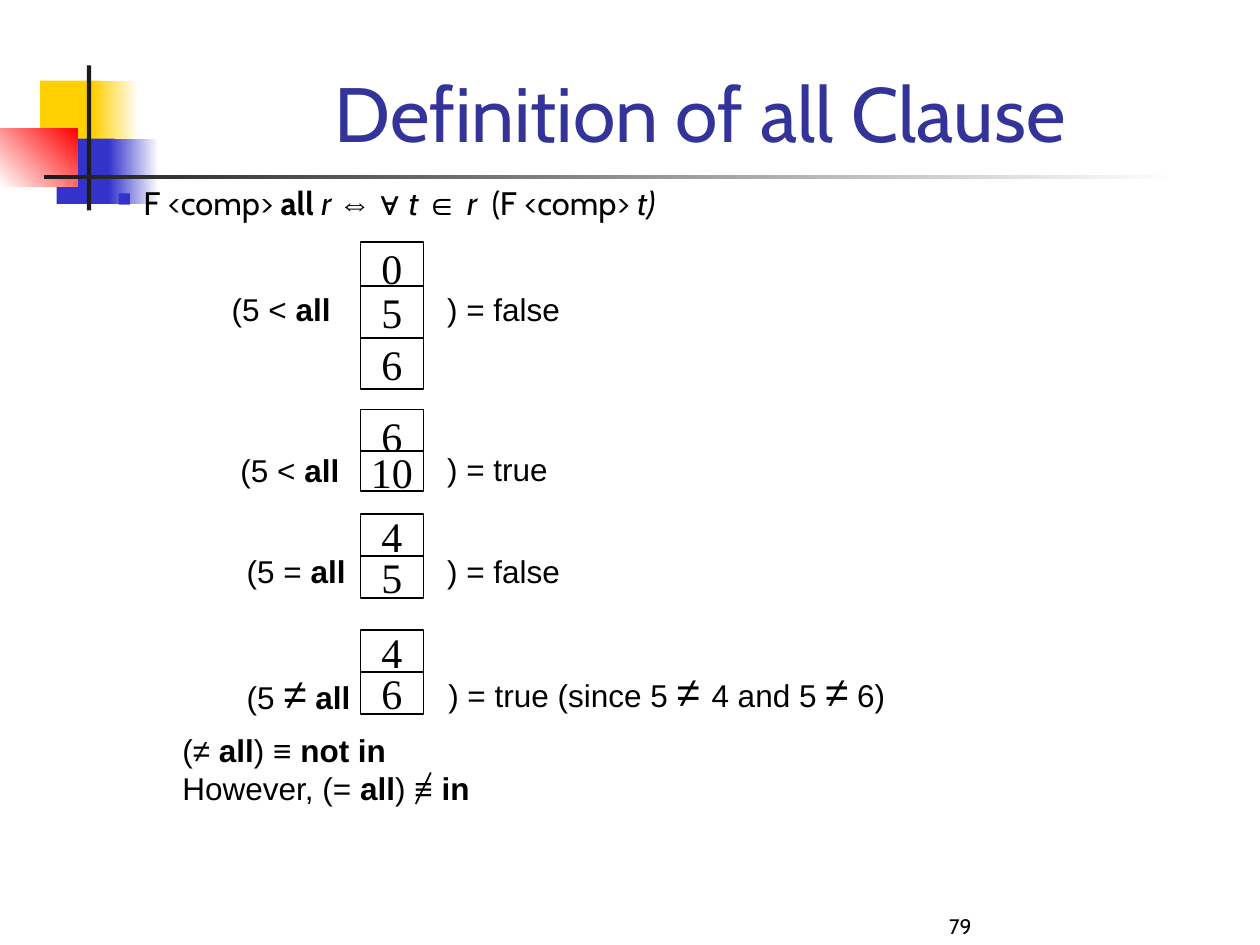
from lxml import etree
from pptx import Presentation
from pptx.dml.color import RGBColor
from pptx.enum.shapes import MSO_CONNECTOR, MSO_SHAPE
from pptx.enum.text import MSO_ANCHOR, PP_ALIGN
from pptx.oxml.ns import qn
from pptx.util import Pt

RECTANGLE = MSO_SHAPE.RECTANGLE
STRAIGHT = MSO_CONNECTOR.STRAIGHT
LEFT, CENTER = PP_ALIGN.LEFT, PP_ALIGN.CENTER
TOP, MIDDLE, BOTTOM = MSO_ANCHOR.TOP, MSO_ANCHOR.MIDDLE, MSO_ANCHOR.BOTTOM

BLACK = RGBColor(0x00, 0x00, 0x00)
WHITE = RGBColor(0xFF, 0xFF, 0xFF)
YELLOW = RGBColor(0xFF, 0xCF, 0x01)
BLUE = RGBColor(0x33, 0x33, 0xCC)
RED = RGBColor(0xFF, 0x00, 0x00)
CHARCOAL = RGBColor(0x1C, 0x1C, 0x1C)
TITLE_BLUE = RGBColor(0x33, 0x33, 0x99)

BOLD = {"bold": True}
ITALIC = {"italic": True}
SYMBOL = {"font": "Arial"}
LARGE = {"size": 24}
ALL = ("all", BOLD)

CELL_LEFT, CELL_WIDTH = 206, 36

# Each example: prompt box, result box, and cells as (value, top, height)
EXAMPLES = [
    {"prompt": (125.3, 162, 96, 29), "prompt_runs": ["(5 < ", ALL],
     "result": (248.4, 162, 96, 29), "result_runs": [") = false"],
     "cells": [("0", 138.2, 29.5), ("5", 163.4, 29.5), ("6", 193, 29.5)]},
    {"prompt": (130.3, 254.2, 96, 29), "prompt_runs": ["(5 < ", ALL],
     "result": (248.4, 253.4, 96, 29), "result_runs": [") = true"],
     "cells": [("6", 234, 30.2), ("10", 257.8, 23)]},
    {"prompt": (133.9, 311.8, 96, 29), "prompt_runs": ["(5 = ", ALL],
     "result": (248.4, 311.8, 96, 29), "result_runs": [") = false"],
     "cells": [("4", 293.8, 24.3), ("5", 317.6, 24.3)]},
    {"prompt": (133.9, 378, 132, 36),
     "prompt_runs": ["(5 ", ("≠", LARGE), " ", ALL],
     "result": (249.1, 376.6, 360, 36),
     "result_runs": [") = true (since 5 ", ("≠ ", LARGE), "4 and 5 ",
                     ("≠", LARGE), " 6)"],
     "cells": [("4", 360, 24.3), ("6", 383.8, 24.3)]},
]


def points(box):
    return [Pt(value) for value in box]


def write_text(shape, paragraphs, size=18, font="Arial", color=BLACK,
               align=LEFT, anchor=TOP, before=0, wrap=True, insets=(7.2, 3.6)):
    """Fill a shape; a run is plain text or (text, overrides)."""
    frame = shape.text_frame
    frame.word_wrap = wrap
    frame.vertical_anchor = anchor
    frame.margin_left = frame.margin_right = Pt(insets[0])
    frame.margin_top = frame.margin_bottom = Pt(insets[1])
    for index, runs in enumerate(paragraphs):
        paragraph = frame.add_paragraph() if index else frame.paragraphs[0]
        paragraph.alignment = align
        paragraph.space_before = Pt(before)
        for item in runs:
            text, override = (item, {}) if isinstance(item, str) else item
            run = paragraph.add_run()
            run.text = text
            run.font.size = Pt(override.get("size", size))
            run.font.name = override.get("font", font)
            run.font.bold = override.get("bold", False)
            run.font.italic = override.get("italic", False)
            run.font.color.rgb = color


def add_text(slide, box, paragraphs, **text_format):
    shape = slide.shapes.add_textbox(*points(box))
    write_text(shape, paragraphs, **text_format)
    return shape


def add_rectangle(slide, box, color, end_color=None, angle=0):
    shape = slide.shapes.add_shape(RECTANGLE, *points(box))
    shape.shadow.inherit = False
    shape.line.fill.background()
    if end_color is None:
        shape.fill.solid()
        shape.fill.fore_color.rgb = color
    else:
        shape.fill.gradient()
        shape.fill.gradient_angle = angle
        for stop, stop_color, position in zip(
                shape.fill.gradient_stops, (color, end_color), (0, 1)):
            stop.color.rgb = stop_color
            stop.position = position
    return shape


def add_bullet(paragraph, character, color, percent, indent):
    properties = paragraph._p.get_or_add_pPr()
    properties.set("marL", str(Pt(indent)))
    properties.set("indent", str(-Pt(indent)))
    bullet_color = etree.SubElement(properties, qn("a:buClr"))
    etree.SubElement(bullet_color, qn("a:srgbClr"), val=str(color))
    etree.SubElement(properties, qn("a:buSzPct"), val=str(percent * 1000))
    etree.SubElement(properties, qn("a:buChar"), char=character)


def add_decoration(slide):
    add_rectangle(slide, (23, 46.1, 34.6, 37.4), YELLOW)
    add_rectangle(slide, (53.3, 46.1, 25.9, 37.4), YELLOW, WHITE)
    add_rectangle(slide, (32.4, 79.2, 33.1, 37.4), BLUE)
    add_rectangle(slide, (61.9, 79.2, 28.8, 37.4), BLUE, WHITE)
    add_rectangle(slide, (0, 73.4, 44.3, 33.1), WHITE, RED, angle=45)
    add_rectangle(slide, (49.7, 37.4, 2.4, 82.8), CHARCOAL)
    add_rectangle(slide, (25.2, 100.1, 648, 2.5), CHARCOAL, WHITE)


def add_title(slide, box):
    title = slide.shapes.title
    title.left, title.top, title.width, title.height = points(box)
    write_text(title, [["Definition of all Clause"]], size=44, font="Cabin",
               color=TITLE_BLUE, align=CENTER, anchor=BOTTOM, insets=(0, 0))


def add_definition(slide, box):
    runs = ["F <comp> ", ("all ", BOLD), ("r ", ITALIC), ("⇔ ∀ ", SYMBOL),
            ("t ", ITALIC), ("∈ ", SYMBOL), ("r ", ITALIC),
            " (F <comp> ", ("t)", ITALIC)]
    shape = add_text(slide, box, [runs], size=18.6, font="Cabin", before=6)
    add_bullet(shape.text_frame.paragraphs[0], "■", BLUE, 60, 15.12)


def add_example(slide, example):
    for value, top, height in example["cells"]:
        cell = add_rectangle(slide, (CELL_LEFT, top, CELL_WIDTH, height), WHITE)
        cell.line.color.rgb = BLACK
        cell.line.width = Pt(1)
        write_text(cell, [[value]], size=24, font="Times New Roman",
                   align=CENTER, anchor=MIDDLE, wrap=False)
    for part in ("prompt", "result"):
        add_text(slide, example[part], [example[part + "_runs"]], before=11.2)


def add_conclusion(slide, box):
    left, top, _, _ = box
    add_text(slide, box, [
        ["(≠ ", ALL, ") ≡ ", ("not in", BOLD)],
        ["However, (= ", ALL, ") ≡ ", ("in", BOLD)],
    ])
    # Stroke that negates the second equivalence sign
    stroke = slide.shapes.add_connector(
        STRAIGHT, *points((left + 149, top + 27.4, left + 140.4, top + 45.4)))
    stroke.line.color.rgb = BLACK
    stroke.line.width = Pt(1)
    etree.SubElement(stroke._element.spPr, qn("a:effectLst"))


def main():
    presentation = Presentation()
    presentation.slide_width, presentation.slide_height = Pt(720), Pt(540)
    slide = presentation.slides.add_slide(presentation.slide_layouts[5])
    add_decoration(slide)
    add_title(slide, (93.6, 0, 613.4, 90))
    add_definition(slide, (59.8, 100.8, 522.7, 30.2))
    for example in EXAMPLES:
        add_example(slide, example)
    add_conclusion(slide, (97.2, 414, 535.7, 56.2))
    # Slide number
    add_text(slide, (473.8, 504, 149.8, 36), [["79"]], size=12, font="Cabin",
             align=CENTER, anchor=BOTTOM)
    presentation.save("out.pptx")


if __name__ == "__main__":
    main()
